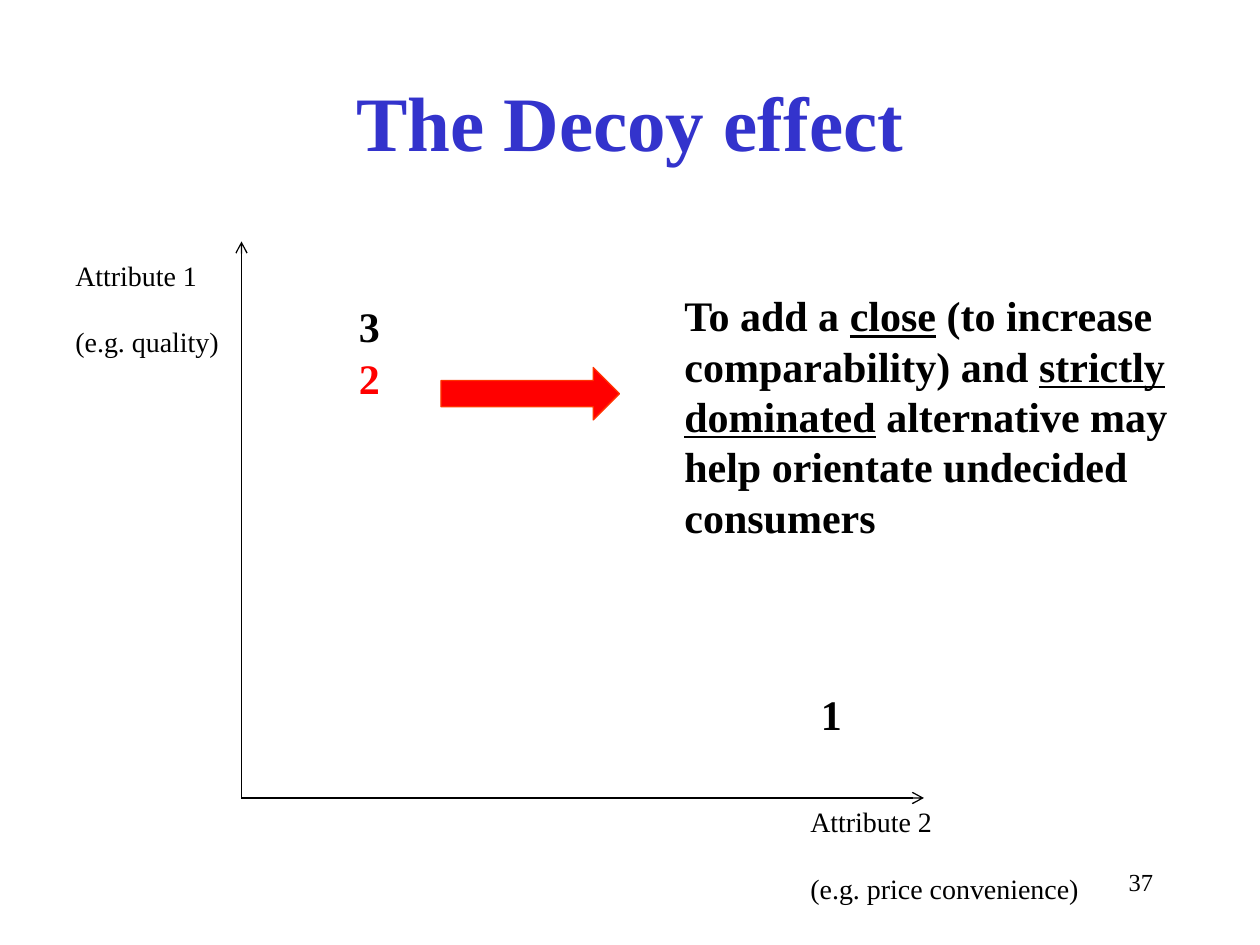
from dataclasses import dataclass

from lxml import etree
from pptx import Presentation
from pptx.dml.color import RGBColor
from pptx.enum.shapes import MSO_CONNECTOR, MSO_SHAPE
from pptx.enum.text import MSO_ANCHOR, PP_ALIGN
from pptx.oxml.ns import qn
from pptx.util import Emu, Pt

STRAIGHT = MSO_CONNECTOR.STRAIGHT
RIGHT_ARROW = MSO_SHAPE.RIGHT_ARROW
TOP, MIDDLE = MSO_ANCHOR.TOP, MSO_ANCHOR.MIDDLE
LEFT, CENTER, RIGHT = PP_ALIGN.LEFT, PP_ALIGN.CENTER, PP_ALIGN.RIGHT
PX = 7620


@dataclass(frozen=True)
class Theme:
    """Colours, typeface and type sizes of the slide."""
    font: str = "Times New Roman"
    ink: str = "000000"
    title: str = "3333CC"
    accent: str = "FF0000"
    accent_edge: str = "FF3300"
    title_size: int = 44
    body_size: int = 24
    label_size: int = 16
    number_size: int = 14
    label_gap: int = 19
    line_width: float = 0.75


THEME = Theme()


def emu(*lengths):
    """Turn px lengths into EMU."""
    return [Emu(length * PX) for length in lengths]


def apply(target, values):
    """Set attributes of target from a dict."""
    for name, value in values.items():
        setattr(target, name, value)


def add_text(slide, box, paragraphs, size, color=THEME.ink, bold=False,
             align=LEFT, anchor=TOP, gap=0):
    """Write paragraphs of (text, underlined) runs in a box."""
    frame = slide.shapes.add_textbox(*emu(*box)).text_frame
    apply(frame, {"word_wrap": True, "vertical_anchor": anchor})
    for index, runs in enumerate(paragraphs):
        paragraph = frame.add_paragraph() if index else frame.paragraphs[0]
        paragraph.alignment = align
        if index:
            paragraph.space_before = Pt(gap)
        for text, underlined in runs:
            run = paragraph.add_run()
            run.text = text
            apply(run.font, {"name": THEME.font, "size": Pt(size),
                             "bold": bold, "underline": underlined})
            run.font.color.rgb = RGBColor.from_string(color)


def add_axis(slide, start, end):
    """Draw an axis with an open arrowhead at its end."""
    axis = slide.shapes.add_connector(STRAIGHT, *emu(*start, *end))
    axis.line.width = Pt(THEME.line_width)
    axis.line.color.rgb = RGBColor.from_string(THEME.ink)
    properties = axis.line._get_or_add_ln()
    etree.SubElement(properties, qn("a:tailEnd"), type="arrow")
    etree.SubElement(axis._element.spPr, qn("a:effectLst"))


def add_title(slide, box):
    """Place the slide title."""
    add_text(slide, box, [[("The Decoy effect", False)]], THEME.title_size,
             THEME.title, True, CENTER, MIDDLE)


def add_attribute_map(slide, box):
    """Place the axes, their labels and the numbered alternatives."""
    left, top, width, height = box
    origin = (left, top + height)
    for end in ((left, top), (left + width, top + height)):
        add_axis(slide, origin, end)
    labels = (
        (-170, 10, 190, "Attribute 1", "(e.g. quality)"),
        (530, height, 300, "Attribute 2", "(e.g. price convenience)"),
    )
    for x, y, label_width, *lines in labels:
        add_text(slide, (left + x, top + y, label_width, 109),
                 [[(line, False)] for line in lines], THEME.label_size,
                 gap=THEME.label_gap)
    alternatives = (("3", 100, 50, THEME.ink), ("1", 540, 420, THEME.ink),
                    ("2", 100, 100, THEME.accent))
    for number, x, y, color in alternatives:
        add_text(slide, (left + x, top + y, 60, 60), [[(number, False)]],
                 THEME.body_size, color, True)


def add_conclusion(slide, box):
    """Place the block arrow and the statement it points to."""
    left, top, width, height = box
    arrow = slide.shapes.add_shape(
        RIGHT_ARROW, *emu(left, top + 80, 170, 50))
    arrow.shadow.inherit = False
    arrow.fill.solid()
    arrow.fill.fore_color.rgb = RGBColor.from_string(THEME.accent)
    arrow.line.color.rgb = RGBColor.from_string(THEME.accent_edge)
    arrow.line.width = Pt(THEME.line_width)
    statement = [
        ("To add a ", False), ("close", True),
        (" (to increase comparability) and ", False),
        ("strictly dominated", True),
        (" alternative may help orientate undecided consumers", False),
    ]
    add_text(slide, (left + 220, top, width - 220, height), [statement],
             THEME.body_size, bold=True)


def add_slide_number(slide, box):
    """Place the slide number."""
    add_text(slide, box, [[("37", False)]], THEME.number_size, align=RIGHT)


def main():
    """Build the slide and save it."""
    deck = Presentation()
    deck.slide_width, deck.slide_height = emu(1200, 900)
    slide = deck.slides.add_slide(deck.slide_layouts[6])
    add_slide_number(slide, (860, 820, 250, 60))
    add_title(slide, (90, 40, 1020, 150))
    add_attribute_map(slide, (230, 230, 650, 530))
    add_conclusion(slide, (420, 270, 720, 254))
    deck.save("out.pptx")


if __name__ == "__main__":
    main()
